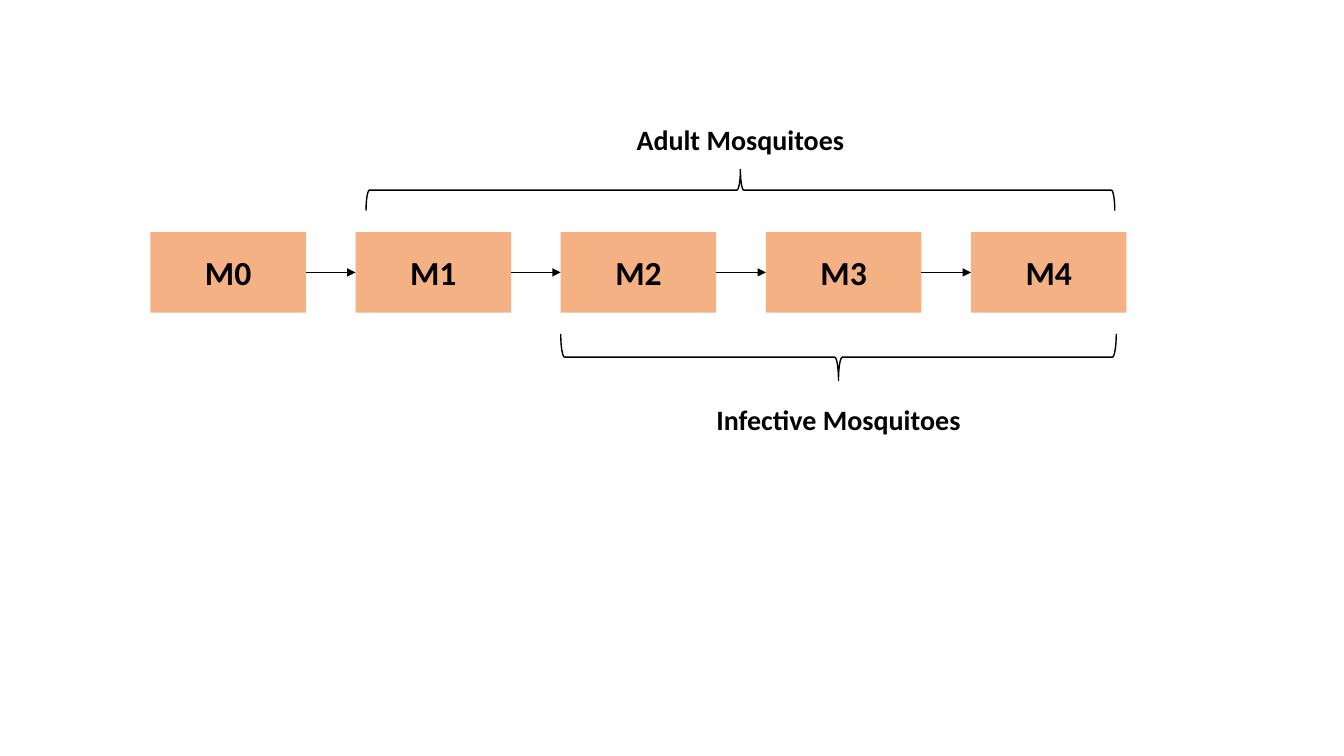
from dataclasses import dataclass
from itertools import pairwise

from lxml import etree
from pptx import Presentation
from pptx import util as u
from pptx.dml.color import RGBColor
from pptx.enum import shapes, text
from pptx.oxml.ns import qn
from pptx.shapes.autoshape import Shape
from pptx.slide import Slide


@dataclass(frozen=True)
class Theme:
    font: str = "Calibri"
    ink: RGBColor = RGBColor(0x00, 0x00, 0x00)
    stage_fill: RGBColor = RGBColor(0xF4, 0xB1, 0x83)
    stage_size: u.Pt = u.Pt(24)
    label_size: u.Pt = u.Pt(20)
    line_width: u.Pt = u.Pt(1)


@dataclass(frozen=True)
class Group:
    """A brace over some stages with its label; lengths in centimetres."""
    label: str
    center_x: float
    center_y: float
    span: float
    depth: float
    rotation: int
    label_top: float


THEME = Theme()
STAGES = ["M0", "M1", "M2", "M3", "M4"]
STAGE_LEFT, STAGE_TOP, STAGE_PITCH = 3.79, 5.85, 5.17
STAGE_WIDTH, STAGE_HEIGHT = 3.92, 2.03
LABEL_WIDTH, LABEL_HEIGHT = 7.21, 1.11
GROUPS = [
    Group("Adult Mosquitoes", 18.66, 4.79, 18.87, 1.04, 270, 2.95),
    Group("Infective Mosquitoes", 21.13, 9.0, 14.0, 1.17, 90, 10.03),
]


def write(shape: Shape, words: str, size: u.Pt) -> None:
    shape.text_frame.word_wrap = True
    paragraph = shape.text_frame.paragraphs[0]
    paragraph.alignment = text.PP_ALIGN.CENTER
    run = paragraph.add_run()
    run.text = words
    run.font.name = THEME.font
    run.font.size = size
    run.font.bold = True
    run.font.color.rgb = THEME.ink


def add_stage(slide: Slide, index: int, name: str) -> Shape:
    shape = slide.shapes.add_shape(
        shapes.MSO_SHAPE.RECTANGLE,
        u.Cm(STAGE_LEFT + index * STAGE_PITCH), u.Cm(STAGE_TOP),
        u.Cm(STAGE_WIDTH), u.Cm(STAGE_HEIGHT))
    shape.shadow.inherit = False
    shape.fill.solid()
    shape.fill.fore_color.rgb = THEME.stage_fill
    shape.line.fill.background()
    shape.text_frame.vertical_anchor = text.MSO_ANCHOR.MIDDLE
    write(shape, name, THEME.stage_size)
    return shape


def add_arrow(slide: Slide, source: Shape, target: Shape) -> None:
    middle = source.top + source.height // 2
    arrow = slide.shapes.add_connector(
        shapes.MSO_CONNECTOR.STRAIGHT,
        source.left + source.width, middle, target.left, middle)
    arrow.begin_connect(source, 3)
    arrow.end_connect(target, 1)
    arrow.line.color.rgb = THEME.ink
    arrow.line.width = THEME.line_width
    etree.SubElement(arrow.line._get_or_add_ln(), qn("a:tailEnd"), type="triangle")
    etree.SubElement(arrow._element.spPr, qn("a:effectLst"))


def add_group(slide: Slide, group: Group) -> None:
    # The upright brace is turned about its centre
    brace = slide.shapes.add_shape(
        shapes.MSO_SHAPE.RIGHT_BRACE,
        u.Cm(group.center_x - group.depth / 2), u.Cm(group.center_y - group.span / 2),
        u.Cm(group.depth), u.Cm(group.span))
    brace.rotation = group.rotation
    brace.shadow.inherit = False
    brace.fill.background()
    brace.line.color.rgb = THEME.ink
    brace.line.width = THEME.line_width

    label = slide.shapes.add_textbox(
        u.Cm(group.center_x - LABEL_WIDTH / 2), u.Cm(group.label_top),
        u.Cm(LABEL_WIDTH), u.Cm(LABEL_HEIGHT))
    label.text_frame.auto_size = text.MSO_AUTO_SIZE.SHAPE_TO_FIT_TEXT
    write(label, group.label, THEME.label_size)


presentation = Presentation()
presentation.slide_width = u.Cm(33.87)
presentation.slide_height = u.Cm(19.05)
slide = presentation.slides.add_slide(presentation.slide_layouts[6])

# Chain of stages
stages = [add_stage(slide, index, name) for index, name in enumerate(STAGES)]
for source, target in pairwise(stages):
    add_arrow(slide, source, target)

# Braces and labels
for group in GROUPS:
    add_group(slide, group)

presentation.save("out.pptx")
